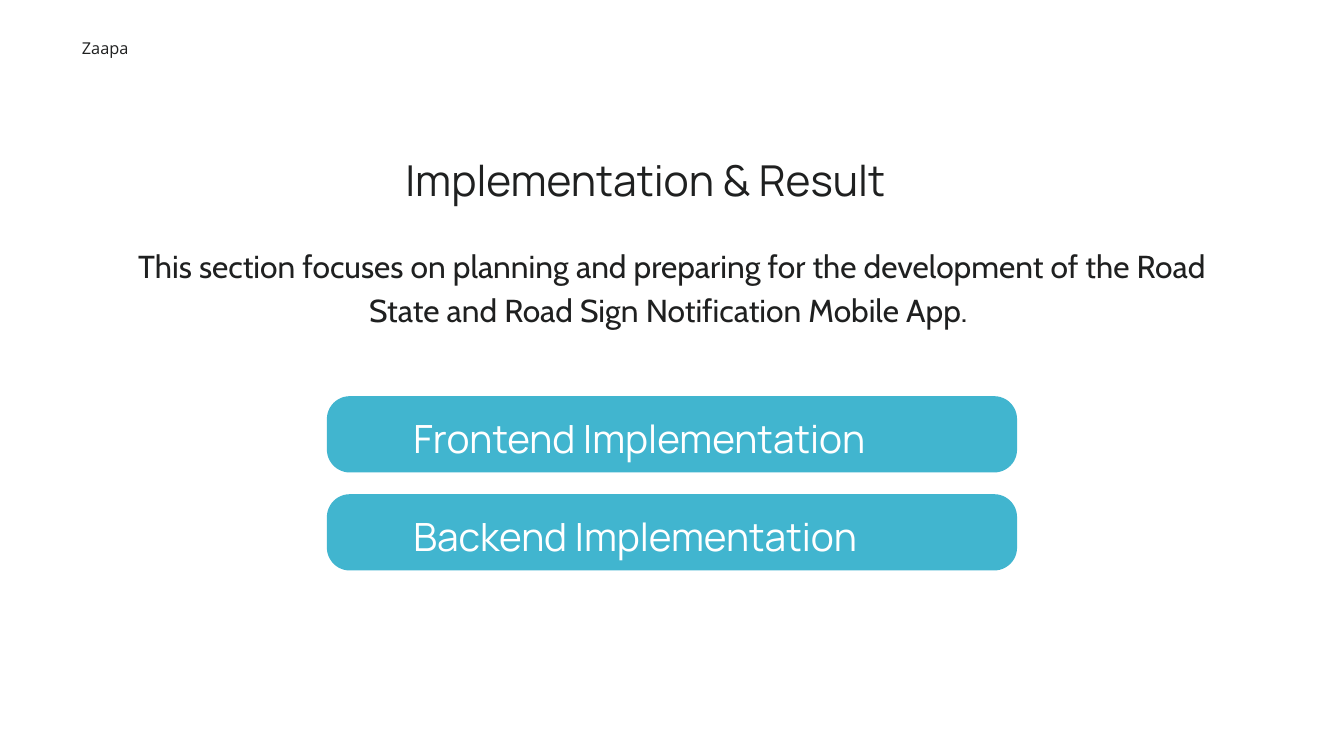
from pptx import Presentation
from pptx.dml.color import RGBColor
from pptx.enum.shapes import MSO_SHAPE as Shape
from pptx.enum.text import MSO_ANCHOR as Anchor, PP_ALIGN as Align
from pptx.util import Emu, Pt

PX = 9525  # EMU in one px, 96 px to the inch
INK = RGBColor(0x1F, 0x20, 0x20)
WHITE = RGBColor(0xFF, 0xFF, 0xFF)
TEAL = RGBColor(0x41, 0xB5, 0xCF)


def px(*nums):
    return [Emu(n * PX) for n in nums]


def write(frame, text, font, size, lead, color=INK, align=Align.LEFT, pad=(0, 0)):
    """Fill a frame with one run; pad is the left and top inset in px."""
    frame.word_wrap = True
    frame.vertical_anchor = Anchor.TOP
    frame.margin_left, frame.margin_top = px(*pad)
    frame.margin_right = frame.margin_bottom = 0
    para = frame.paragraphs[0]
    para.alignment = align
    para.line_spacing = Pt(lead)
    para.space_before = Pt(0)
    run = para.add_run()
    run.text = text
    run.font.name = font
    run.font.size = Pt(size)
    run.font.color.rgb = color


def add_title(slide, box):
    title = slide.shapes.title
    title.left, title.top, title.width, title.height = px(*box)
    write(title.text_frame, "Implementation & Result", "Manrope", 45.6, 53.4)


def add_brand(slide, box):
    label = slide.shapes.add_textbox(*px(*box))
    write(label.text_frame, "Zaapa", "Open Sans", 17.5, 24.5)


def add_intro(slide, box):
    intro = slide.shapes.add_textbox(*px(*box))
    text = ("This section focuses on planning and preparing for the development "
            "of the Road State and Road Sign Notification Mobile App. ")
    write(intro.text_frame, text, "Cabin", 34, 47.6, align=Align.CENTER)


def add_bars(slide, box, names, gap):
    """Stack one rounded bar per name, with equal gaps, inside the box."""
    left, top, width, height = box
    tall = (height - gap * (len(names) - 1)) // len(names)
    for i, name in enumerate(names):
        bar = slide.shapes.add_shape(
            Shape.ROUNDED_RECTANGLE, *px(left, top + i * (tall + gap), width, tall))
        bar.adjustments[0] = 0.3
        bar.shadow.inherit = False
        bar.fill.solid()
        bar.fill.fore_color.rgb = TEAL
        bar.line.fill.background()
        write(bar.text_frame, name, "Manrope", 41.6, 48.7, WHITE, pad=(114, 19))


def main():
    deck = Presentation()
    deck.slide_width, deck.slide_height = px(1920, 1080)
    slide = deck.slides.add_slide(deck.slide_layouts[5])
    add_title(slide, (579, 221, 794, 77))
    add_brand(slide, (117, 50, 237, 30))
    add_intro(slide, (172, 343, 1576, 124))
    names = ["Frontend Implementation", "Backend Implementation"]
    add_bars(slide, (467, 566, 986, 249), names, gap=31)
    deck.save("out.pptx")


if __name__ == "__main__":
    main()
